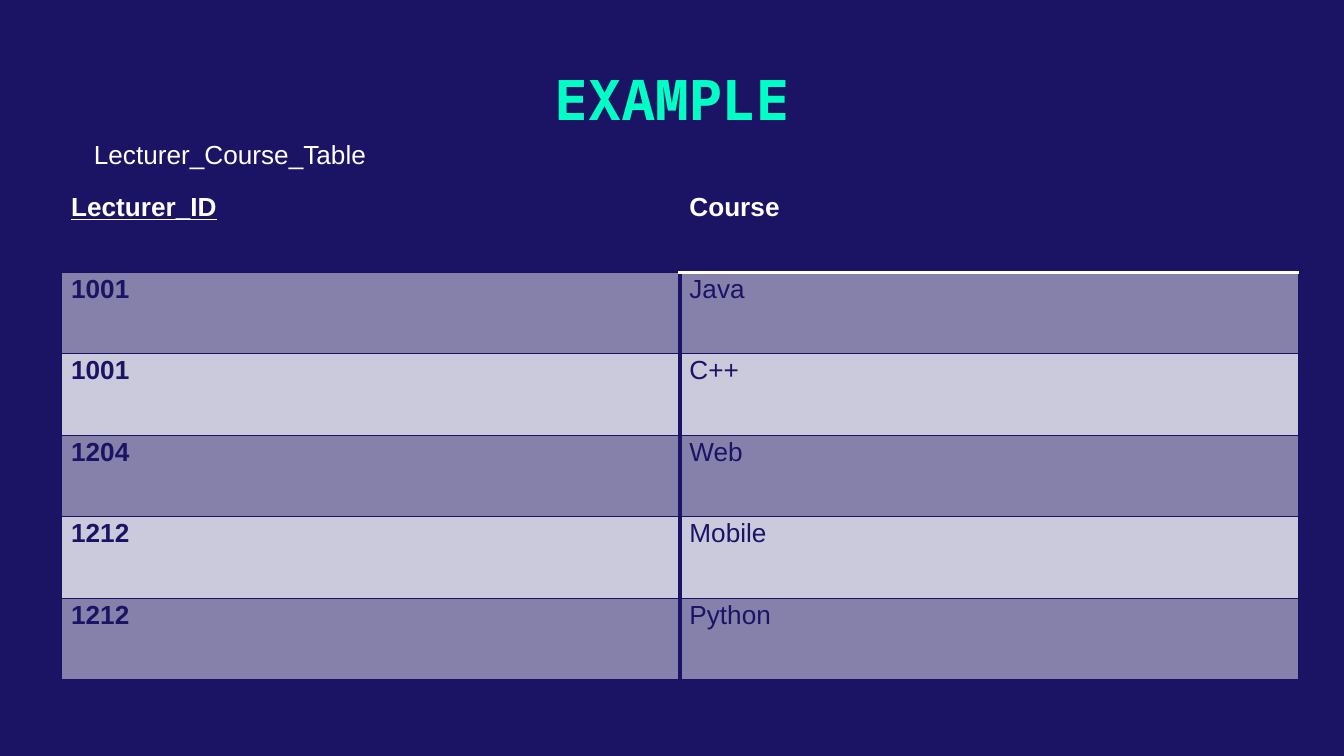
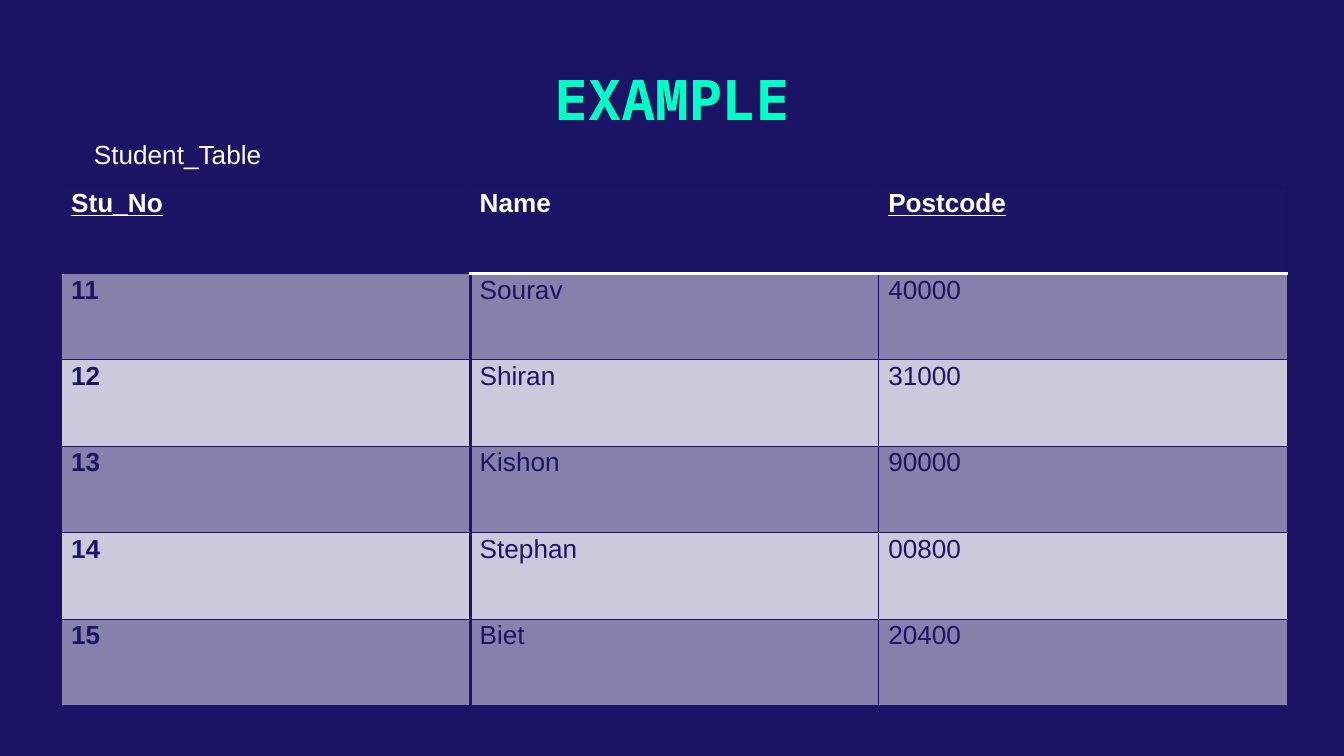
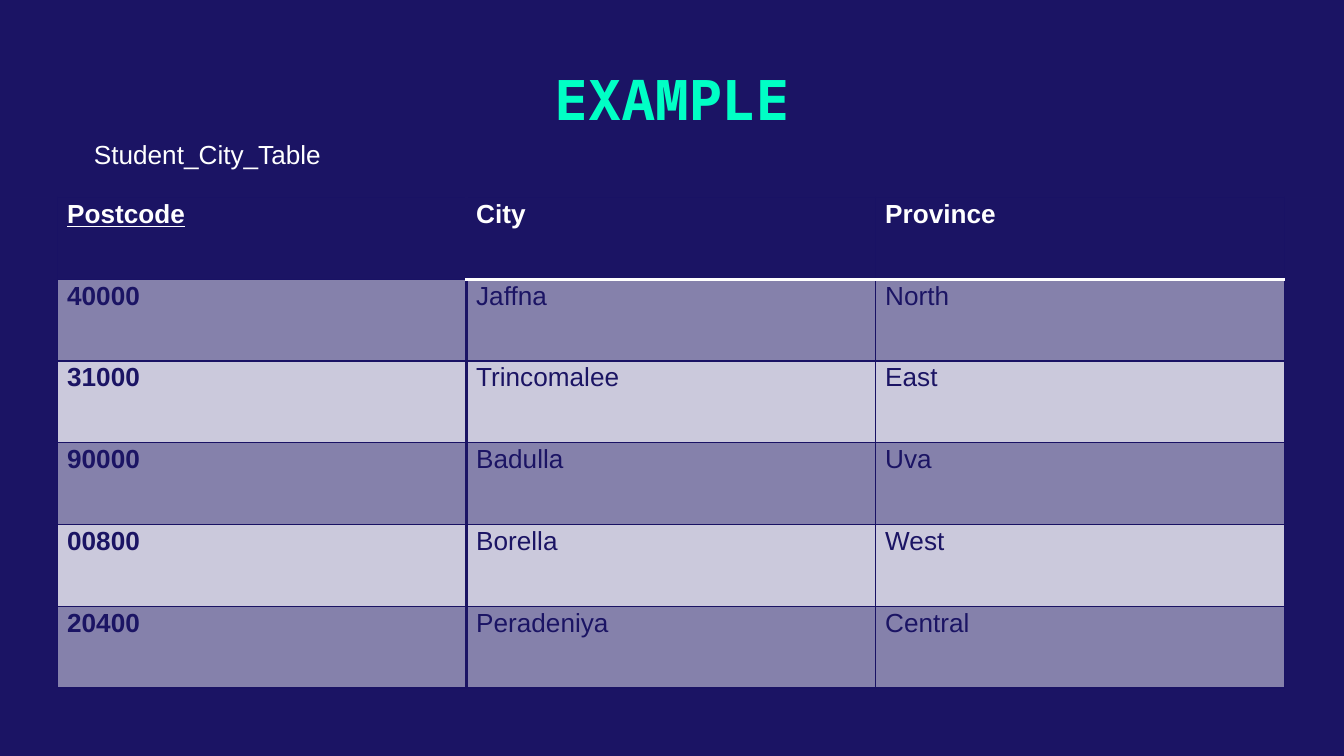
from lxml.etree import SubElement
from pptx import Presentation
from pptx.dml.color import RGBColor
from pptx.enum.text import MSO_ANCHOR, PP_ALIGN
from pptx.oxml.ns import qn
from pptx.util import Inches, Pt

COLORS = {
    "navy": "1B1464",
    "grid": "191264",
    "mint": "00FFC5",
    "white": "FFFFFF",
    "dark_band": "8581AB",
    "light_band": "CBC9DC",
}
TITLE_FONT = "Noto Sans Mono"
BODY_FONT = "Arial"

# Table name, position and size, key columns, rows (header first)
TABLES = [
    ("Lecturer_Course_Table", (0.46, 1.42, 9.2, 3.64), {"Lecturer_ID"}, [
        ("Lecturer_ID", "Course"),
        ("1001", "Java"),
        ("1001", "C++"),
        ("1204", "Web"),
        ("1212", "Mobile"),
        ("1212", "Python"),
    ]),
    ("Student_Table", (0.46, 1.39, 9.12, 3.86), {"Stu_No", "Postcode"}, [
        ("Stu_No", "Name", "Postcode"),
        ("11", "Sourav", "40000"),
        ("12", "Shiran", "31000"),
        ("13", "Kishon", "90000"),
        ("14", "Stephan", "00800"),
        ("15", "Biet", "20400"),
    ]),
    ("Student_City_Table", (0.43, 1.47, 9.13, 3.65), {"Postcode"}, [
        ("Postcode", "City", "Province"),
        ("40000", "Jaffna", "North"),
        ("31000", "Trincomalee", "East"),
        ("90000", "Badulla", "Uva"),
        ("00800", "Borella", "West"),
        ("20400", "Peradeniya", "Central"),
    ]),
]


def write(frame, text, size, font, color, bold=False):
    """Put one styled line of text in a frame and return its paragraph."""
    frame.text = text
    para = frame.paragraphs[0]
    span = para.runs[0]
    span.font.size = Pt(size)
    span.font.name = font
    span.font.bold = bold
    span.font.color.rgb = RGBColor.from_string(COLORS[color])
    return para


def add_border(cell, side, color, width):
    properties = cell._tc.get_or_add_tcPr()
    line = SubElement(properties, qn(f"a:ln{side}"), w=str(Pt(width)))
    fill = SubElement(line, qn("a:solidFill"))
    SubElement(fill, qn("a:srgbClr"), val=COLORS[color])


deck = Presentation()
deck.slide_width = Inches(10)
deck.slide_height = deck.slide_width * 9 // 16

for name, (left, top, width, height), keys, rows in TABLES:
    slide = deck.slides.add_slide(deck.slide_layouts[6])
    slide.background.fill.solid()
    slide.background.fill.fore_color.rgb = RGBColor.from_string(COLORS["navy"])

    title = slide.shapes.add_textbox(Inches(1.4), Inches(0.38), Inches(7.2), Inches(0.73))
    frame = title.text_frame
    frame.word_wrap = True
    frame.vertical_anchor = MSO_ANCHOR.TOP
    frame.margin_left = frame.margin_right = Inches(0.1)
    frame.margin_top = frame.margin_bottom = Inches(0.1)
    para = write(frame, "EXAMPLE", 30, TITLE_FONT, "mint", bold=True)
    para.alignment = PP_ALIGN.CENTER

    caption = slide.shapes.add_textbox(Inches(0.6), Inches(0.98), Inches(3.59), Inches(0.34))
    caption.text_frame.word_wrap = True
    write(caption.text_frame, name, 14, BODY_FONT, "white")

    table = slide.shapes.add_table(
        len(rows), len(rows[0]), Inches(left), Inches(top), Inches(width), Inches(height)
    ).table
    for column in table.columns:
        column.width = Inches(width / len(rows[0]))
    for row in table.rows:
        row.height = Inches(height / len(rows))

    for row_index, values in enumerate(rows):
        is_header = row_index == 0
        if is_header:
            band = "navy"
        else:
            band = "dark_band" if row_index % 2 else "light_band"
        for column_index, value in enumerate(values):
            is_first = column_index == 0
            cell = table.cell(row_index, column_index)
            cell.margin_left = cell.margin_right = Inches(0.07)
            cell.margin_top = cell.margin_bottom = 0
            para = write(cell.text_frame, value, 14, BODY_FONT,
                         "white" if is_header else "navy", bold=is_header or is_first)
            para.alignment = PP_ALIGN.JUSTIFY
            para.line_spacing = 1.07
            para.runs[0].font.underline = is_header and value in keys

            # The white rule under the header skips the first column
            borders = {side: ("grid", 0.75) for side in "LRTB"}
            if is_first:
                borders["R"] = ("navy", 2)
            elif is_header:
                borders["B"] = ("white", 2)
            elif row_index == 1:
                borders["T"] = ("white", 2)
            if column_index == 1:
                borders["L"] = ("navy", 2)
            for side, (color, line_width) in borders.items():
                add_border(cell, side, color, line_width)
            cell.fill.solid()
            cell.fill.fore_color.rgb = RGBColor.from_string(COLORS[band])

deck.save("out.pptx")
